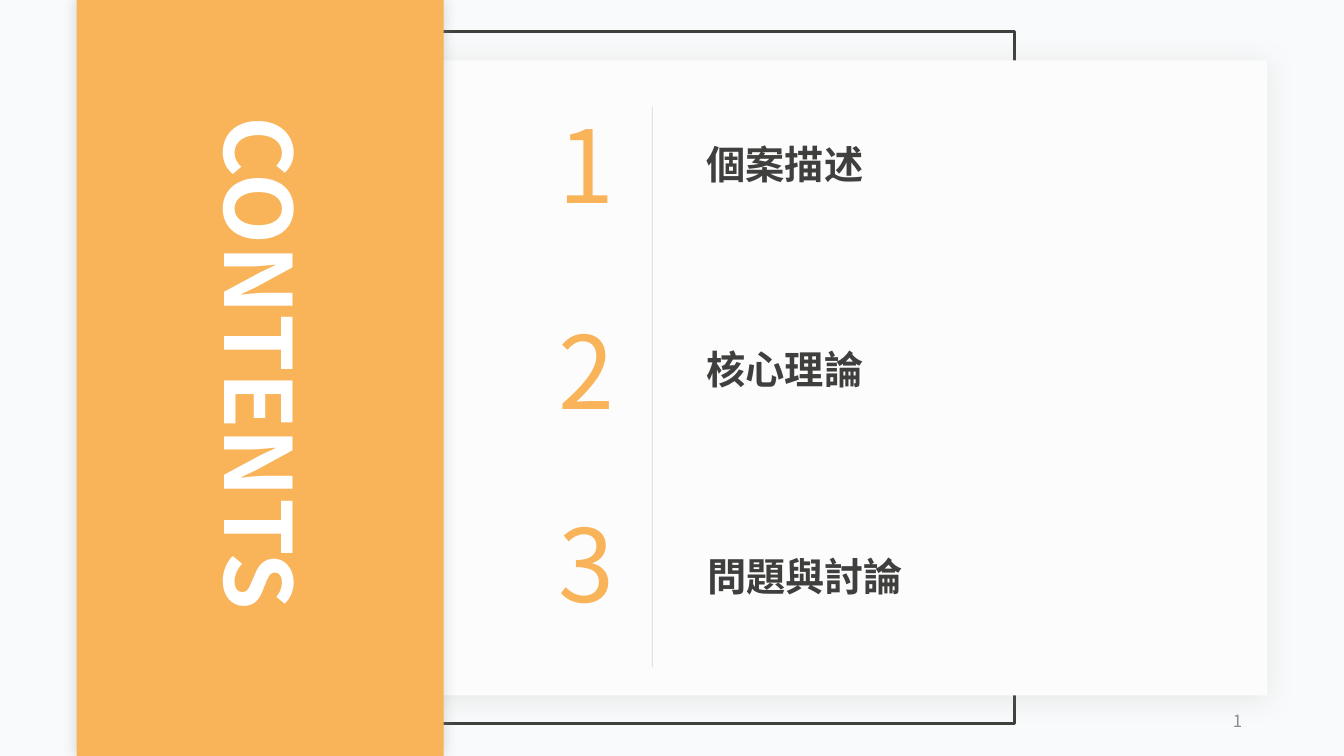
from lxml import etree
from pptx import Presentation
from pptx.dml.color import RGBColor
from pptx.enum.shapes import MSO_CONNECTOR, MSO_SHAPE
from pptx.enum.text import MSO_ANCHOR, MSO_AUTO_SIZE, PP_ALIGN
from pptx.oxml import parse_xml
from pptx.oxml.ns import nsdecls, qn
from pptx.util import Inches, Pt

RECTANGLE = MSO_SHAPE.RECTANGLE
STRAIGHT = MSO_CONNECTOR.STRAIGHT
TOP, MIDDLE = MSO_ANCHOR.TOP, MSO_ANCHOR.MIDDLE
GROW, FIXED = MSO_AUTO_SIZE.SHAPE_TO_FIT_TEXT, MSO_AUTO_SIZE.NONE
LEFT, CENTER, RIGHT = PP_ALIGN.LEFT, PP_ALIGN.CENTER, PP_ALIGN.RIGHT

FONT = "Noto Sans CJK SC"
BACKGROUND = RGBColor(0xF9, 0xFA, 0xFB)
PANEL = RGBColor(0xFC, 0xFC, 0xFD)
DARK = RGBColor(0x3F, 0x40, 0x3E)
ORANGE = RGBColor(0xF9, 0xB3, 0x59)
SAGE = RGBColor(0x96, 0x9F, 0x98)
GRAY = RGBColor(0x8C, 0x8C, 0x8C)
WHITE = RGBColor(0xFF, 0xFF, 0xFF)

TOPICS = [
    ("1", 0.97, "個案描述", 1.34, 1.77),
    ("2", 3.01, "核心理論", 3.38, 1.77),
    ("3", 4.93, "問題與討論", 5.43, 2.17),
]


def place(shape, left, top, width, height):
    """Move and size a shape, in inches."""
    shape.left, shape.top = Inches(left), Inches(top)
    shape.width, shape.height = Inches(width), Inches(height)


def add_shadow(shape, opacity, blur, distance, angle):
    """Give a shape a soft outer shadow."""
    shape._element.spPr.append(parse_xml(
        f'<a:effectLst {nsdecls("a")}><a:outerShdw blurRad="{Pt(blur)}" '
        f'dist="{Pt(distance)}" dir="{angle * 60000}" algn="ctr" rotWithShape="0">'
        f'<a:srgbClr val="{SAGE}"><a:alpha val="{opacity * 1000}"/></a:srgbClr>'
        '</a:outerShdw></a:effectLst>'))


def add_rectangle(page, area, fill=None, line=None, shadow=None):
    """Add a rectangle with an optional fill, outline and shadow."""
    box = page.shapes.add_shape(RECTANGLE, *map(Inches, area))
    if fill is None:
        box.fill.background()
    else:
        box.fill.solid()
        box.fill.fore_color.rgb = fill
    if line is None:
        box.line.fill.background()
    else:
        box.line.color.rgb = line
        box.line.width = Pt(2)
    if shadow is None:
        box.shadow.inherit = False
    else:
        add_shadow(box, *shadow)


def add_divider(page, x, top, bottom):
    """Add the thin translucent vertical line."""
    divider = page.shapes.add_connector(
        STRAIGHT, Inches(x), Inches(top), Inches(x), Inches(bottom))
    divider.line.color.rgb = SAGE
    divider.line.width = Pt(0.5)
    properties = divider._element.spPr
    color = properties.find(".//" + qn("a:srgbClr"))
    etree.SubElement(color, qn("a:alpha"), val="40000")
    etree.SubElement(properties, qn("a:effectLst"))


def format_span(span, size, color, bold=False, spacing=0):
    """Set the font of a run for Latin and East Asian text."""
    span.font.name, span.font.size = FONT, Pt(size)
    span.font.color.rgb, span.font.bold = color, bold
    properties = span.font._element
    properties.find(qn("a:latin")).addnext(
        parse_xml(f'<a:ea {nsdecls("a")} typeface="{FONT}"/>'))
    if spacing:
        properties.set("spc", str(spacing * 100))


def fill_text(box, text, size, color, align=CENTER, bold=False, spacing=0):
    """Write one unwrapped line into a box and format it."""
    frame = box.text_frame
    frame.text = text
    frame.word_wrap = False
    frame.auto_size = GROW
    frame.vertical_anchor = TOP
    para = frame.paragraphs[0]
    para.alignment = align
    format_span(para.runs[0], size, color, bold, spacing)


def add_text(page, area, *style, **options):
    """Add a text box holding one formatted line."""
    box = page.shapes.add_textbox(*map(Inches, area))
    fill_text(box, *style, **options)
    return box


def add_title(page):
    """Turn the title sideways and bring it in front of the orange band."""
    title = page.shapes.title
    place(title, -0.11, 3.15, 5.39, 1.21)
    title.rotation = 90
    fill_text(title, "CONTENTS", 66, WHITE, align=LEFT, bold=True)
    title._element.getparent().append(title._element)


def add_page_number(page):
    """Add the slide number as a live field."""
    box = add_text(page, (9.42, 6.95, 3, 0.4), "2", 12, GRAY, align=RIGHT)
    frame = box.text_frame
    frame.word_wrap = True
    frame.auto_size = FIXED
    frame.vertical_anchor = MIDDLE
    span = frame.paragraphs[0].runs[0]._r
    span.tag = qn("a:fld")
    span.set("id", "{B6F15528-21DE-4FAA-801E-634DDDAF4B2B}")
    span.set("type", "slidenum")


def main():
    """Build the contents slide."""
    deck = Presentation()
    deck.slide_width, deck.slide_height = Inches(13.33), Inches(7.5)
    page = deck.slides.add_slide(deck.slide_layouts.get_by_name("Title Only"))
    page.background.fill.solid()
    page.background.fill.fore_color.rgb = BACKGROUND

    add_rectangle(page, (2.54, 0.31, 7.52, 6.87), line=DARK)
    add_rectangle(page, (2.35, 0.6, 10.22, 6.3), fill=PANEL, shadow=(20, 20, 3, 90))
    add_divider(page, 6.47, 1.06, 6.62)
    for number, number_top, topic, topic_top, topic_width in TOPICS:
        add_text(page, (6.9, topic_top, topic_width, 0.57), topic, 28, DARK, bold=True)
        add_text(page, (5.44, number_top, 0.75, 1.31), number, 72, ORANGE, spacing=-3)
    add_rectangle(page, (0.76, 0, 3.64, 7.5), fill=ORANGE, shadow=(40, 10, 0, 0))
    add_title(page)
    add_page_number(page)
    deck.save("out.pptx")


main()
